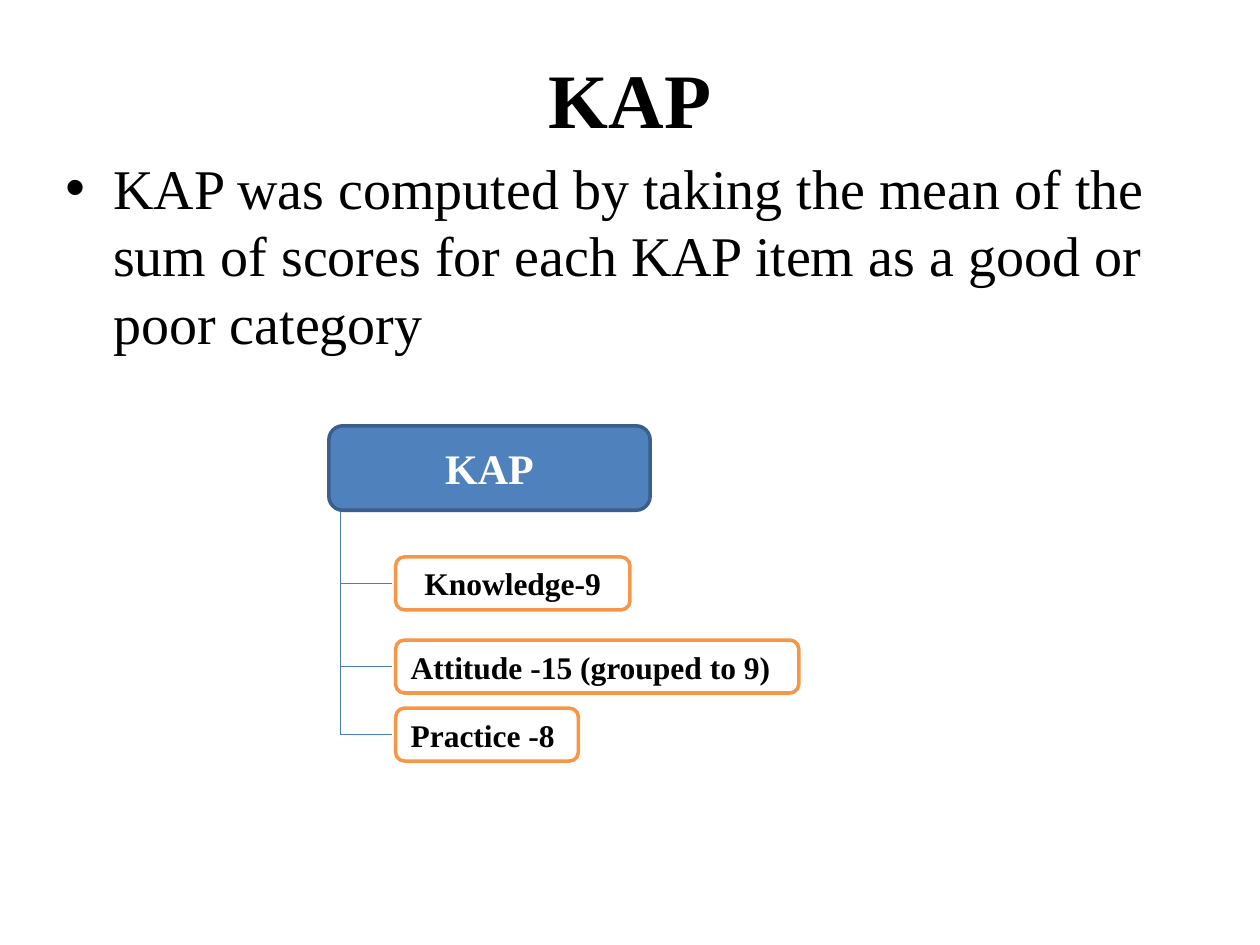
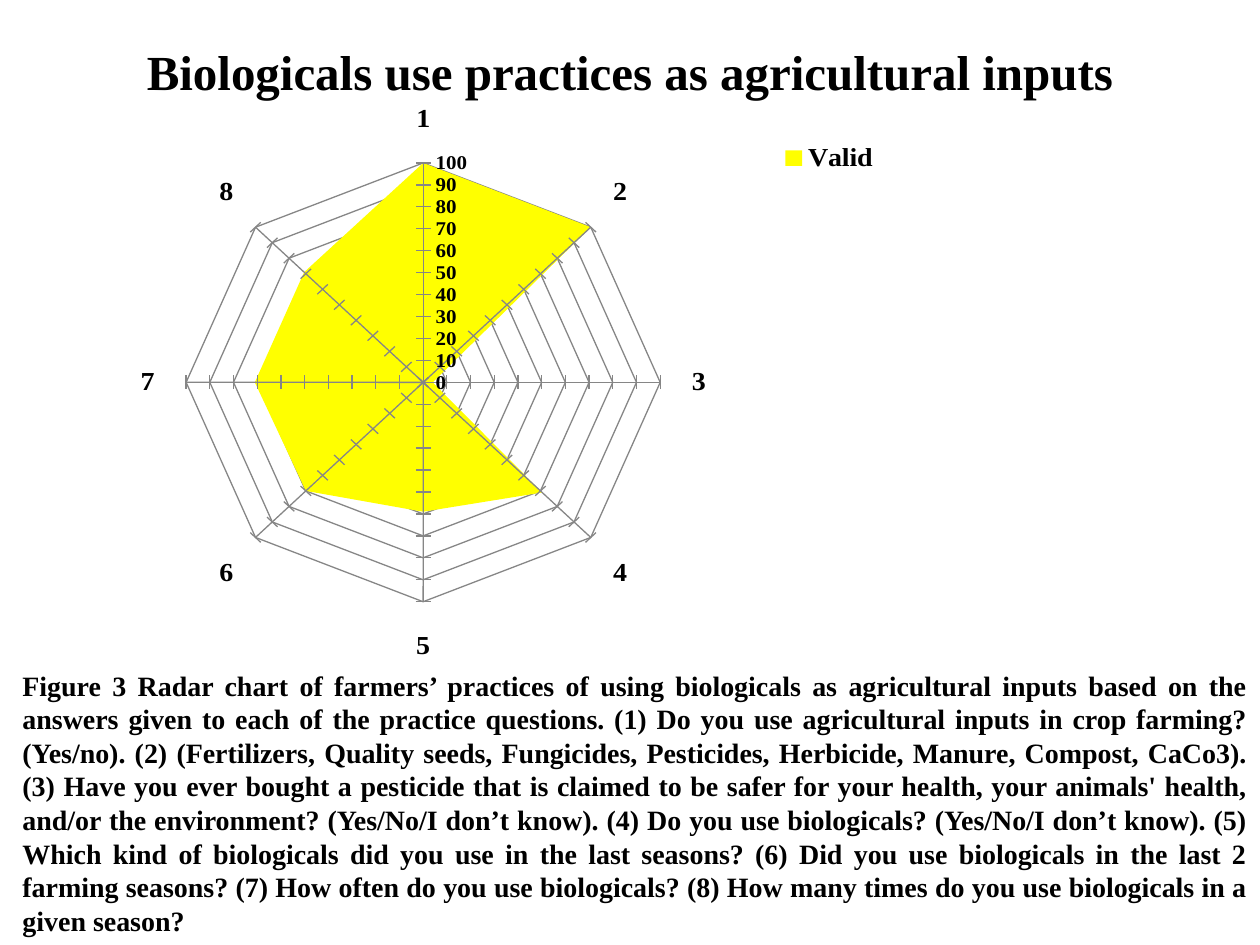
from dataclasses import dataclass

from lxml import etree
from pptx import Presentation
from pptx import util as u
from pptx.chart import data as chart_data
from pptx.dml.color import RGBColor
from pptx.enum import chart as chart_enum
from pptx.enum import shapes, text
from pptx.oxml import parse_xml
from pptx.oxml.ns import nsdecls, qn

FONT = "Times New Roman"
COLORS = {
    "ink": "000000",
    "white": "FFFFFF",
    "blue": "4F81BD",
    "blue_edge": "3A5F8C",
    "branch": "4B7EBC",
    "orange": "F79646",
    "yellow": "FFFF00",
    "grid": "868686",
}


@dataclass
class Box:
    left: float
    top: float
    width: float
    height: float

    def lengths(self) -> list:
        return [u.Inches(n) for n in (self.left, self.top, self.width, self.height)]


@dataclass
class Node:
    label: str
    box: Box
    fill: str = "white"
    edge: str = "orange"
    ink: str = "ink"
    size: int = 18
    align: text.PP_ALIGN = text.PP_ALIGN.LEFT


def color(name: str) -> RGBColor:
    return RGBColor.from_string(COLORS[name])


def set_font(font, size: float, bold: bool = True, ink: str = "ink") -> None:
    font.name = FONT
    font.size = u.Pt(size)
    font.bold = bold
    font.color.rgb = color(ink)


def write(shape, words: str, size: int, align, bold: bool = True, ink: str = "ink",
          anchor=text.MSO_ANCHOR.MIDDLE):
    frame = shape.text_frame
    frame.word_wrap = True
    frame.vertical_anchor = anchor
    paragraph = frame.paragraphs[0]
    paragraph.text = words
    paragraph.alignment = align
    set_font(paragraph.font, size, bold, ink)
    return paragraph


def add_text(slide, box: Box, words: str, size: int, align, **options):
    return write(slide.shapes.add_textbox(*box.lengths()), words, size, align, **options)


def add_title(slide, words: str, size: int, height: float) -> None:
    add_text(slide, Box(0.5, 0.3, 9, height), words, size, text.PP_ALIGN.CENTER)


def add_bullet(paragraph, indent: float) -> None:
    properties = paragraph._p.get_or_add_pPr()
    properties.set("marL", str(u.Inches(indent)))
    properties.set("indent", str(-u.Inches(indent)))
    etree.SubElement(properties, qn("a:buFont")).set("typeface", "Arial")
    etree.SubElement(properties, qn("a:buChar")).set("char", "•")


def add_node(slide, node: Node) -> None:
    shape = slide.shapes.add_shape(
        shapes.MSO_SHAPE.ROUNDED_RECTANGLE, *node.box.lengths())
    shape.shadow.inherit = False
    shape.fill.solid()
    shape.fill.fore_color.rgb = color(node.fill)
    shape.line.color.rgb = color(node.edge)
    shape.line.width = u.Pt(2)
    write(shape, node.label, node.size, node.align, ink=node.ink)


def add_branch(slide, x1: float, y1: float, x2: float, y2: float) -> None:
    line = slide.shapes.add_connector(
        shapes.MSO_CONNECTOR.STRAIGHT, *[u.Inches(n) for n in (x1, y1, x2, y2)])
    line.line.color.rgb = color("branch")
    line.line.width = u.Pt(0.75)
    etree.SubElement(line._element.spPr, qn("a:effectLst"))


def set_layout(element, box: Box, inner: bool = False) -> None:
    for old in element.findall(qn("c:layout")):
        element.remove(old)
    target = '<c:layoutTarget val="inner"/>' if inner else ""
    layout = parse_xml(
        f'<c:layout {nsdecls("c")}><c:manualLayout>{target}'
        '<c:xMode val="edge"/><c:yMode val="edge"/>'
        f'<c:x val="{box.left}"/><c:y val="{box.top}"/>'
        f'<c:w val="{box.width}"/><c:h val="{box.height}"/>'
        '</c:manualLayout></c:layout>')
    position = element.find(qn("c:legendPos"))
    if position is None:
        element.insert(0, layout)
    else:
        position.addnext(layout)


def style_axis(axis, size: int, tick) -> None:
    set_font(axis.tick_labels.font, size)
    axis.major_tick_mark = tick
    axis.has_major_gridlines = True
    for line in (axis.format.line, axis.major_gridlines.format.line):
        line.color.rgb = color("grid")
        line.width = u.Pt(0.75)


def add_radar(slide, box: Box, name: str, values: list[int]) -> None:
    data = chart_data.CategoryChartData()
    data.categories = [str(n) for n in range(1, len(values) + 1)]
    data.add_series(name, values)
    chart = slide.shapes.add_chart(
        chart_enum.XL_CHART_TYPE.RADAR_FILLED, *box.lengths(), data).chart
    set_font(chart.font, 10, bold=False)
    chart.has_title = False
    fill = chart.plots[0].series[0].format.fill
    fill.solid()
    fill.fore_color.rgb = color("yellow")
    style_axis(chart.category_axis, 16, chart_enum.XL_TICK_MARK.OUTSIDE)
    style_axis(chart.value_axis, 12, chart_enum.XL_TICK_MARK.CROSS)
    chart.value_axis.minimum_scale = 0
    chart.value_axis.maximum_scale = 100
    chart.value_axis.major_unit = 10
    chart.value_axis.tick_labels.number_format = "General"
    chart.value_axis.tick_labels.number_format_is_linked = False
    chart.has_legend = True
    chart.legend.position = chart_enum.XL_LEGEND_POSITION.RIGHT
    chart.legend.include_in_layout = False
    set_font(chart.legend.font, 16)
    plot_area = chart._chartSpace.find(".//" + qn("c:plotArea"))
    set_layout(plot_area, Box(0.168, 0.089, 0.551, 0.854), inner=True)
    set_layout(chart.legend._element, Box(0.84, 0.04, 0.15, 0.08))


def build_kap(slide) -> None:
    add_title(slide, "KAP", 44, 0.95)
    body = add_text(
        slide, Box(0.42, 1.17, 9.25, 6.08),
        "KAP was computed by taking the mean of the sum of scores for each KAP item "
        "as a good or poor category",
        32, text.PP_ALIGN.LEFT, bold=False, anchor=text.MSO_ANCHOR.TOP)
    body.space_before = u.Pt(6.4)
    add_bullet(body, 0.38)

    trunk_x, branch_end, child_left, child_height = 2.7, 3.11, 3.14, 0.42
    root = Node("KAP", Box(2.61, 3.38, 2.55, 0.67), "blue", "blue_edge", "white", 24,
                text.PP_ALIGN.CENTER)
    children = [
        Node("Knowledge-9", Box(child_left, 4.42, 1.86, child_height),
             align=text.PP_ALIGN.CENTER),
        Node("Attitude -15 (grouped to 9)", Box(child_left, 5.08, 3.2, child_height)),
        Node("Practice -8", Box(child_left, 5.62, 1.45, child_height)),
    ]
    middles = [child.box.top + child_height / 2 for child in children]
    for middle in middles:
        add_branch(slide, trunk_x, middle, branch_end, middle)
    add_branch(slide, trunk_x, root.box.top + root.box.height, trunk_x, middles[-1])
    for node in [*children, root]:
        add_node(slide, node)


def build_practices(slide) -> None:
    add_title(slide, "Biologicals use practices as agricultural inputs", 28, 0.53)
    add_text(
        slide, Box(0.08, 5.24, 9.92, 2.26),
        "Figure 3 Radar chart of farmers’ practices of using biologicals as agricultural "
        "inputs based on the answers given to each of the practice questions. "
        "(1) Do you use agricultural inputs in crop farming? (Yes/no). "
        "(2) (Fertilizers, Quality seeds, Fungicides, Pesticides, Herbicide, Manure, "
        "Compost, CaCo3). "
        "(3) Have you ever bought a pesticide that is claimed to be safer for your health, "
        "your animals' health, and/or the environment? (Yes/No/I don’t know). "
        "(4) Do you use biologicals? (Yes/No/I don’t know). "
        "(5) Which kind of biologicals did you use in the last seasons? "
        "(6) Did you use biologicals in the last 2 farming seasons? "
        "(7) How often do you use biologicals? "
        "(8) How many times do you use biologicals in a given season?",
        16, text.PP_ALIGN.JUSTIFY)
    add_radar(slide, Box(0.33, 0.83, 6.83, 4.41), "Valid",
              [100, 100, 4, 71, 59, 70, 71, 71])


presentation = Presentation()
presentation.slide_width = u.Inches(10)
presentation.slide_height = u.Inches(7.5)
for build in (build_kap, build_practices):
    build(presentation.slides.add_slide(presentation.slide_layouts[6]))
presentation.save("out.pptx")
